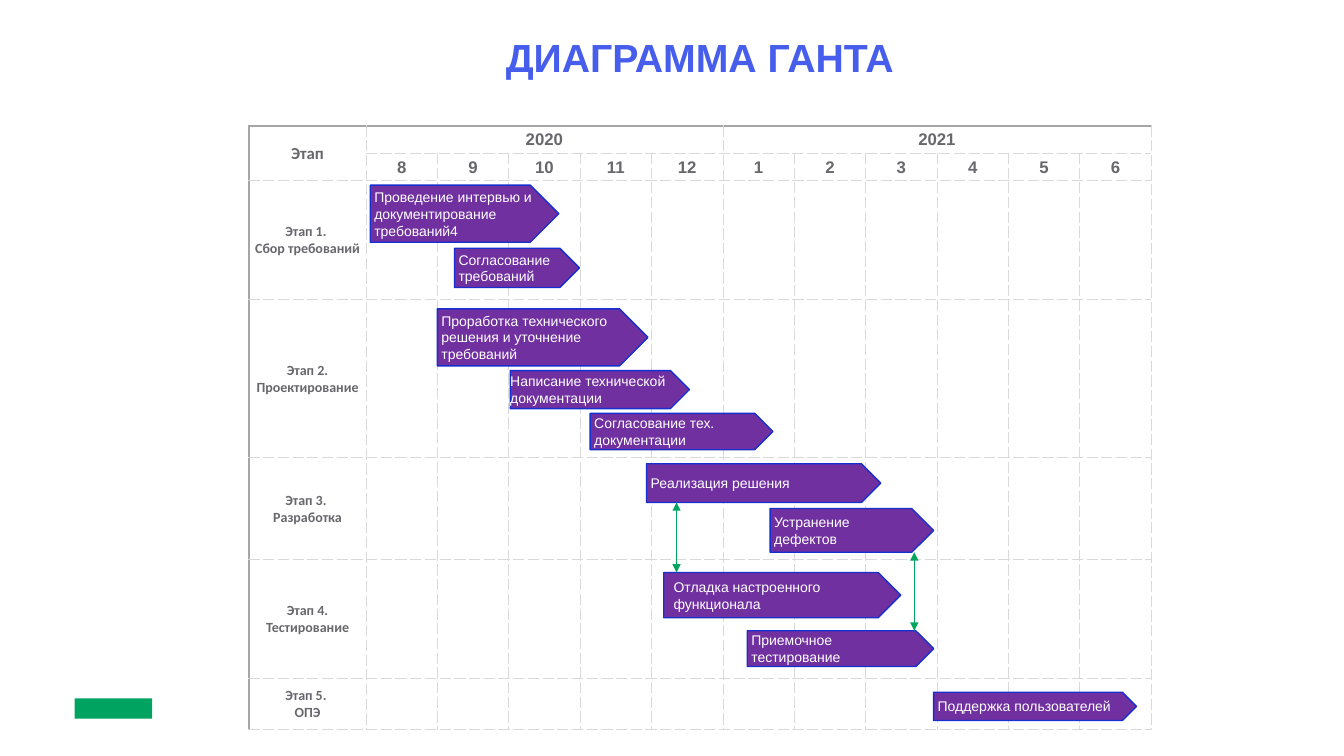
from lxml.etree import SubElement
from pptx import Presentation
from pptx.dml.color import RGBColor
from pptx.enum.shapes import MSO_CONNECTOR, MSO_SHAPE
from pptx.enum.text import MSO_ANCHOR, PP_ALIGN
from pptx.oxml import parse_xml
from pptx.oxml.ns import nsdecls, qn
from pptx.util import Inches, Pt

COLORS = {"title": "475DEB", "text": "68676C", "bar": "7030A0", "bar_edge": "172FCF",
          "bar_text": "FFFFFF", "link": "00A560", "badge": "00A460",
          "grid": "D9D9D9", "frame": "A6A6A6"}

# Chart grid, in inches
CHART_LEFT, CHART_TOP, CHART_WIDTH = 2.47, 1.25, 8.95
STAGE_WIDTH, HEADER_HEIGHT = 1.16, 0.27
MONTHS = [8, 9, 10, 11, 12, 1, 2, 3, 4, 5, 6]
MONTH_WIDTH = (CHART_WIDTH - STAGE_WIDTH) / len(MONTHS)
YEARS = [("2020", 1, 5), ("2021", 6, 11)]  # label, first and last column

# Stage: label, row height, bars
# Bar: text, start and length in months, top and height as shares of the row, side insets
STAGES = [
    ("Этап 1. \vСбор требований", 1.18, [
        ("Проведение интервью и документирование требований4", 0.06, 2.64, 0.04, 0.48, 0.04, 0),
        ("Согласование требований", 1.24, 1.75, 0.57, 0.33, 0.04, 0)]),
    ("Этап 2. Проектирование", 1.57, [
        ("Проработка технического решения и уточнение требований", 1, 2.95, 0.06, 0.36, 0.04, 0),
        ("Написание технической документации", 2.02, 2.51, 0.45, 0.24, 0, 0),
        ("Согласование тех. документации", 3.14, 2.56, 0.72, 0.23, 0.04, 0)]),
    ("Этап 3. \vРазработка", 1.01, [
        ("Реализация решения", 3.93, 3.28, 0.06, 0.38, 0.04, 0),
        ("Устранение дефектов", 5.66, 2.29, 0.5, 0.43, 0.04, 0.1)]),
    ("Этап 4. Тестирование", 1.18, [
        ("Отладка настроенного функционала", 4.17, 3.32, 0.11, 0.38, 0.1, 0.1),
        ("Приемочное тестирование", 5.34, 2.61, 0.6, 0.3, 0.04, 0.1)]),
    ("Этап 5. \nОПЭ", 0.51, [
        ("Поддержка пользователей", 7.95, 2.84, 0.27, 0.55, 0.04, 0.04)]),
]

# Link: upper bar, lower bar, place in months
LINKS = [("Реализация решения", "Отладка настроенного функционала", 4.35),
         ("Устранение дефектов", "Приемочное тестирование", 7.68)]


def rgb(name):
    return RGBColor.from_string(COLORS[name])


def month_x(month):
    return CHART_LEFT + STAGE_WIDTH + month * MONTH_WIDTH


def style_text(frame, size, font_name, color, bold=False, align=PP_ALIGN.LEFT):
    for para in frame.paragraphs:
        para.alignment = align
        para.font.size = Pt(size)
        para.font.name = font_name
        para.font.bold = bold
        para.font.color.rgb = rgb(color)


def add_title(page, left, top, width, height):
    title = page.shapes.title
    title.left, title.top, title.width, title.height = map(Inches, (left, top, width, height))
    frame = title.text_frame
    frame.text = "ДИАГРАММА ГАНТА"
    frame.margin_left = frame.margin_top = frame.margin_right = frame.margin_bottom = 0
    frame.vertical_anchor = MSO_ANCHOR.TOP
    frame.paragraphs[0].line_spacing = 0.9
    style_text(frame, 28, "Arial", "title", True, PP_ALIGN.CENTER)


def add_badge(page, left, top, width, height):
    badge = page.shapes.add_shape(MSO_SHAPE.RECTANGLE, *map(Inches, (left, top, width, height)))
    badge.shadow.inherit = False
    badge.fill.solid()
    badge.fill.fore_color.rgb = rgb("badge")
    badge.line.fill.background()


def set_borders(cell, framed_sides):
    properties = cell._tc.get_or_add_tcPr()
    for side in "LRTB":
        framed = side in framed_sides
        color, width, dash = (("frame", 1, "solid") if framed else ("grid", 0.5, "sysDash"))
        properties.append(parse_xml(
            f'<a:ln{side} {nsdecls("a")} w="{Pt(width)}"><a:solidFill>'
            f'<a:srgbClr val="{COLORS[color]}"/></a:solidFill>'
            f'<a:prstDash val="{dash}"/></a:ln{side}>'))


def format_cell(cell, row, column):
    framed_sides = (("L" if column == 0 else "") + ("T" if row == 0 else "")
                    + ("R" if row == 0 and column == len(MONTHS) else ""))
    set_borders(cell, framed_sides)
    cell.fill.background()
    cell.margin_left = cell.margin_top = cell.margin_right = Inches(0.01)
    cell.margin_bottom = 0
    cell.vertical_anchor = MSO_ANCHOR.MIDDLE
    style_text(cell.text_frame, 12 if row < 2 else 10, "Arial" if column else "Calibri",
               "text", True, PP_ALIGN.CENTER)


def add_calendar(page):
    heights = [HEADER_HEIGHT] * 2 + [height for _, height, _ in STAGES]
    holder = page.shapes.add_table(
        len(heights), len(MONTHS) + 1,
        *map(Inches, (CHART_LEFT, CHART_TOP, CHART_WIDTH, sum(heights))))
    table = holder.table
    table.first_row = table.horz_banding = False
    for row, height in zip(table.rows, heights):
        row.height = Inches(height)
    for index, column in enumerate(table.columns):
        column.width = Inches(MONTH_WIDTH if index else STAGE_WIDTH)

    # Labels
    table.cell(0, 0).text = "Этап"
    for label, first, _ in YEARS:
        table.cell(0, first).text = label
    for column, month in enumerate(MONTHS, 1):
        table.cell(1, column).text = str(month)
    for row, (label, _, _) in enumerate(STAGES, 2):
        table.cell(row, 0).text = label

    for row in range(len(heights)):
        for column in range(len(MONTHS) + 1):
            format_cell(table.cell(row, column), row, column)
    table.cell(0, 0).merge(table.cell(1, 0))
    for _, first, last in YEARS:
        table.cell(0, first).merge(table.cell(0, last))


def add_bar(page, text, left, top, width, height, inset_left, inset_right):
    bar = page.shapes.add_shape(MSO_SHAPE.PENTAGON, *map(Inches, (left, top, width, height)))
    bar.shadow.inherit = False
    bar.fill.solid()
    bar.fill.fore_color.rgb = rgb("bar")
    bar.line.color.rgb = rgb("bar_edge")
    bar.line.width = Pt(1)
    frame = bar.text_frame
    frame.text = text
    frame.word_wrap = True
    frame.vertical_anchor = MSO_ANCHOR.MIDDLE
    frame.margin_left, frame.margin_right = Inches(inset_left), Inches(inset_right)
    frame.margin_top = frame.margin_bottom = Inches(0.04)
    style_text(frame, 10, "Arial", "bar_text")
    return bar


def add_link(page, upper, lower, x):
    link = page.shapes.add_connector(MSO_CONNECTOR.STRAIGHT, Inches(x),
                                     upper.top + upper.height, Inches(x), lower.top)
    link.line.color.rgb = rgb("link")
    link.line.width = Pt(0.5)
    outline = link.line._get_or_add_ln()
    for end in ("a:headEnd", "a:tailEnd"):
        SubElement(outline, qn(end), type="triangle")
    SubElement(link._element.spPr, qn("a:effectLst"))


def add_schedule(page):
    bars = {}
    row_top = CHART_TOP + 2 * HEADER_HEIGHT
    for _, row_height, stage_bars in STAGES:
        for text, start, length, top, height, inset_left, inset_right in stage_bars:
            bars[text] = add_bar(page, text, month_x(start), row_top + top * row_height,
                                 length * MONTH_WIDTH, height * row_height,
                                 inset_left, inset_right)
        row_top += row_height
    for upper, lower, month in LINKS:
        add_link(page, bars[upper], bars[lower], month_x(month))


def main():
    deck = Presentation()
    deck.slide_width, deck.slide_height = Inches(13.33), Inches(7.5)
    page = deck.slides.add_slide(deck.slide_layouts[5])
    add_badge(page, 0.74, 6.93, 0.77, 0.2)
    add_title(page, 1.16, 0.38, 11.56, 0.61)
    add_calendar(page)
    add_schedule(page)
    deck.save("out.pptx")


if __name__ == "__main__":
    main()
